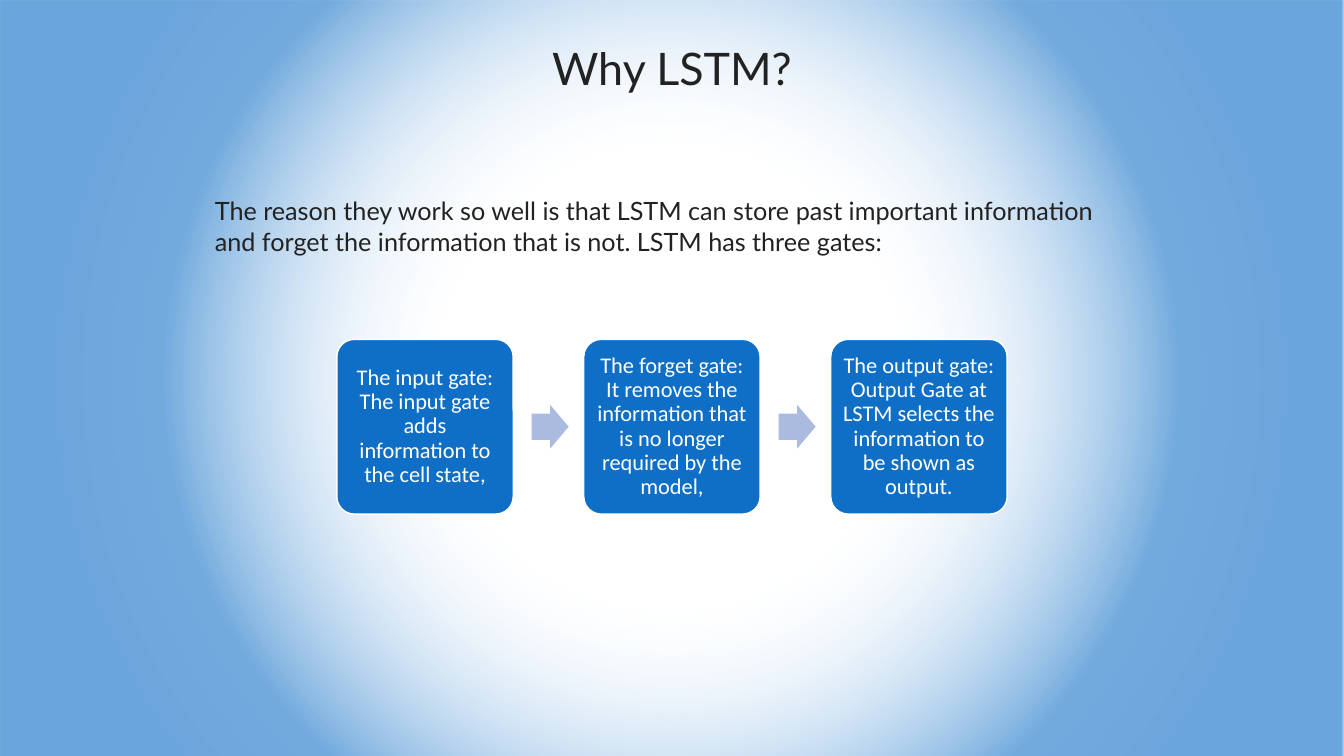
import dataclasses

import lxml.etree
import pptx
import pptx.dml.color
import pptx.enum.shapes
import pptx.enum.text
import pptx.oxml.ns
import pptx.util

SHAPE = pptx.enum.shapes.MSO_SHAPE
ALIGN = pptx.enum.text.PP_ALIGN
ANCHOR = pptx.enum.text.MSO_ANCHOR


@dataclasses.dataclass(frozen=True)
class Theme:
    ink: str = "222222"
    glow: str = "F1F8FE"
    blue: str = "0F6FC6"
    arrow: str = "ABBBDF"
    white: str = "FFFFFF"
    heading_font: str = "Lato"
    card_font: str = "Calibri"
    title_size: int = 32
    body_size: int = 18
    card_size: int = 16


class GridSlide:
    columns = 16
    rows = 9

    def __init__(self, deck, theme):
        self.theme = theme
        self.cell_width = deck.slide_width / self.columns
        self.cell_height = deck.slide_height / self.rows
        self.shapes = deck.slides.add_slide(deck.slide_layouts[6]).shapes

    def place(self, left, top, width, height):
        return (
            round(left * self.cell_width),
            round(top * self.cell_height),
            round(width * self.cell_width),
            round(height * self.cell_height),
        )

    def set_text(self, frame, text, font, size, color, align):
        frame.word_wrap = True
        paragraph = frame.paragraphs[0]
        paragraph.text = text
        paragraph.alignment = align
        paragraph.font.name = font
        paragraph.font.size = pptx.util.Pt(size)
        paragraph.font.color.rgb = pptx.dml.color.RGBColor.from_string(color)
        return paragraph

    def shape(self, kind, area, fill, adjustments=()):
        shape = self.shapes.add_shape(kind, *self.place(*area))
        shape.shadow.inherit = False
        shape.fill.solid()
        shape.fill.fore_color.rgb = pptx.dml.color.RGBColor.from_string(fill)
        shape.line.fill.background()
        for index, value in enumerate(adjustments):
            shape.adjustments[index] = value
        return shape

    def backdrop(self, stops):
        qn = pptx.oxml.ns.qn
        shape = self.shape(SHAPE.RECTANGLE, (0, 0, self.columns, self.rows), self.theme.blue)
        solid = shape._element.spPr.find(qn("a:solidFill"))
        gradient = lxml.etree.Element(qn("a:gradFill"), rotWithShape="1")
        stop_list = lxml.etree.SubElement(gradient, qn("a:gsLst"))
        for position, color, opacity in stops:
            stop = lxml.etree.SubElement(stop_list, qn("a:gs"), pos=str(position * 1000))
            tint = lxml.etree.SubElement(stop, qn("a:srgbClr"), val=color)
            lxml.etree.SubElement(tint, qn("a:alpha"), val=str(opacity * 1000))
        circle = lxml.etree.SubElement(gradient, qn("a:path"), {"path": "circle"})
        center = dict.fromkeys("ltrb", "50000")
        lxml.etree.SubElement(circle, qn("a:fillToRect"), center)
        solid.getparent().replace(solid, gradient)

    def text(self, area, text, size, align):
        box = self.shapes.add_textbox(*self.place(*area))
        self.set_text(box.text_frame, text, self.theme.heading_font, size, self.theme.ink, align)

    def card(self, area, text):
        theme = self.theme
        card = self.shape(SHAPE.ROUNDED_RECTANGLE, area, theme.blue, (0.1,))
        card.line.color.rgb = pptx.dml.color.RGBColor.from_string(theme.white)
        card.line.width = pptx.util.Pt(1)
        frame = card.text_frame
        frame.vertical_anchor = ANCHOR.MIDDLE
        inset = pptx.util.Inches(0.07)
        frame.margin_left = frame.margin_right = inset
        frame.margin_top = frame.margin_bottom = inset
        paragraph = self.set_text(
            frame, text, theme.card_font, theme.card_size, theme.white, ALIGN.CENTER
        )
        paragraph.line_spacing = 0.9

    def arrow(self, area):
        self.shape(SHAPE.RIGHT_ARROW, area, self.theme.arrow, (0.6, 0.5))


def main():
    deck = pptx.Presentation()
    deck.slide_width = pptx.util.Inches(13.33)
    deck.slide_height = pptx.util.Inches(7.5)
    theme = Theme()
    slide = GridSlide(deck, theme)

    slide.backdrop([(29, theme.glow, 0), (66, theme.blue, 58), (80, theme.blue, 61)])
    slide.text(
        (2.44, 2.27, 11.12, 1.94),
        "The reason they work so well is that LSTM can store past important information "
        "and forget the information that is not. LSTM has three gates:",
        theme.body_size,
        ALIGN.LEFT,
    )
    slide.text((0, 0.43, 16, 0.77), "Why LSTM?", theme.title_size, ALIGN.CENTER)

    gates = [
        "The input gate: The input gate adds information to the cell state,",
        "The forget gate: It removes the information that is no longer required by the model,",
        "The output gate: Output Gate at LSTM selects the information to be shown as output.",
    ]
    card_width, card_height, card_top, pitch = 2.1, 2.08, 4.04, 2.94
    arrow_width, arrow_height, arrow_offset = 0.44, 0.52, 2.32
    first_left = (slide.columns - card_width - pitch * (len(gates) - 1)) / 2
    arrow_top = card_top + (card_height - arrow_height) / 2

    for index, gate in enumerate(gates):
        left = first_left + index * pitch
        slide.card((left, card_top, card_width, card_height), gate)
        if index < len(gates) - 1:
            slide.arrow((left + arrow_offset, arrow_top, arrow_width, arrow_height))

    deck.save("out.pptx")


if __name__ == "__main__":
    main()
